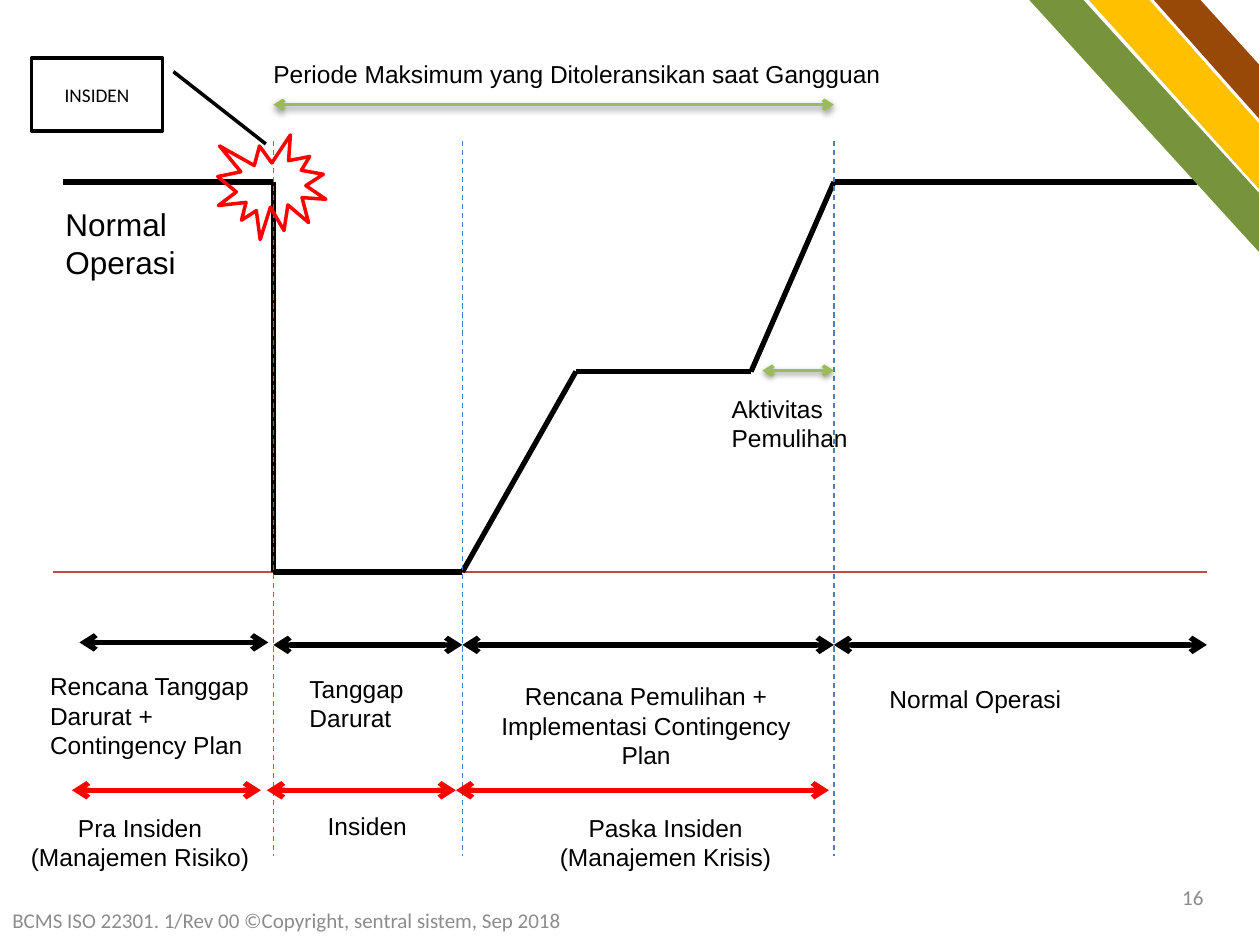
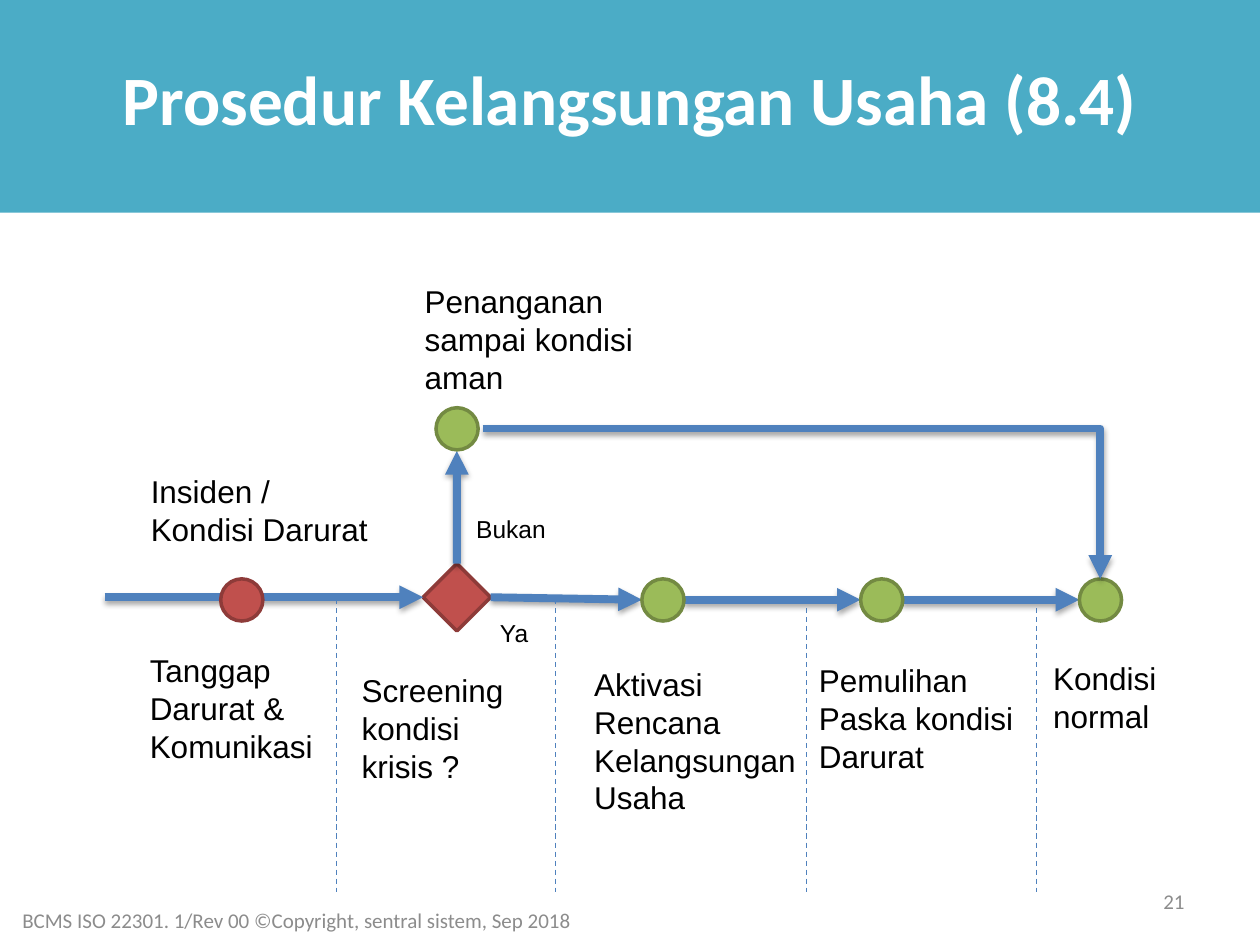
from collections import namedtuple
from pptx import Presentation
from pptx.dml.color import RGBColor
from pptx.enum.dml import MSO_LINE
from pptx.enum.shapes import MSO_CONNECTOR, MSO_SHAPE
from pptx.enum.text import MSO_ANCHOR, PP_ALIGN
from pptx.oxml import parse_xml
from pptx.oxml.ns import nsdecls
from pptx.util import Cm, Pt

BLACK, WHITE, RED, GREY = "000000", "FFFFFF", "FF0000", "8C8C8C"
BLUE, DASH_BLUE, TEAL, BASELINE = "4F81BD", "4B7EBC", "4BACC6", "BF4C48"
GREEN, GREEN_EDGE = "9BBB59", "738A42"
BRICK, BRICK_EDGE = "C0504D", "8E3B39"
FOOTER = "BCMS ISO 22301. 1/Rev 00 ©Copyright, sentral sistem, Sep 2018"
CENTER = PP_ALIGN.CENTER


class Box(namedtuple("Box", "left top width height")):
    """A region of the page in centimetres."""

    def point(self, x, y):
        """Return the page position of a point in this box."""
        return self.left + x, self.top + y

    def inner(self, x, y, width, height):
        """Return a smaller box placed in this box."""
        return Box(*self.point(x, y), width, height)

    def lengths(self):
        """Return the four sides as lengths."""
        return [Cm(value) for value in self]


def colour(code):
    """Turn a hex string into a colour."""
    return RGBColor.from_string(code)


def write(frame, text, size=14, font="Arial", ink=BLACK, bold=False,
          align=PP_ALIGN.LEFT, anchor=MSO_ANCHOR.TOP, wrap=False):
    """Fill a text frame, one paragraph for each line."""
    frame.word_wrap = wrap
    frame.vertical_anchor = anchor
    for index, line in enumerate(text.split("\n")):
        para = frame.add_paragraph() if index else frame.paragraphs[0]
        para.alignment = align
        span = para.add_run()
        span.text = line
        span.font.size, span.font.name, span.font.bold = Pt(size), font, bold
        span.font.color.rgb = colour(ink)


def add_text(page, box, text, **style):
    """Add a text box."""
    write(page.shapes.add_textbox(*box.lengths()).text_frame, text, **style)


def paint(shape, fill=None, edge=None):
    """Set fill and outline of a shape."""
    shape.shadow.inherit = False
    if fill:
        shape.fill.solid()
        shape.fill.fore_color.rgb = colour(fill)
    else:
        shape.fill.background()
    if edge:
        shape.line.color.rgb = colour(edge)
        shape.line.width = Pt(2)
    else:
        shape.line.fill.background()


def add_preset(page, kind, box, fill=None, edge=None):
    """Add a painted preset shape."""
    shape = page.shapes.add_shape(kind, *box.lengths())
    paint(shape, fill, edge)
    return shape


def add_line(page, start, end, ink=BLACK, width=3, dash=False, head=None,
             tail=None, shadow=None, kind=MSO_CONNECTOR.STRAIGHT):
    """Add a connector; shadow is its opacity and distance."""
    line = page.shapes.add_connector(kind, *map(Cm, start + end))
    line.line.color.rgb = colour(ink)
    line.line.width = Pt(width)
    if dash:
        line.line.dash_style = MSO_LINE.DASH
    outline = line.line._get_or_add_ln()
    for tag, arrow in (("headEnd", head), ("tailEnd", tail)):
        if arrow:
            outline.append(parse_xml(f'<a:{tag} {nsdecls("a")} type="{arrow}"/>'))
    effect = ""
    if shadow:
        opacity, distance = shadow
        effect = (f'<a:outerShdw blurRad="40000" dist="{distance}" dir="5400000" '
                  f'rotWithShape="0"><a:srgbClr val="{BLACK}">'
                  f'<a:alpha val="{opacity}"/></a:srgbClr></a:outerShdw>')
    line._element.spPr.append(
        parse_xml(f'<a:effectLst {nsdecls("a")}>{effect}</a:effectLst>'))
    return line


def add_span(page, start, end, ink=BLACK, **style):
    """Add a line with an open arrow at both ends."""
    add_line(page, start, end, ink, head="arrow", tail="arrow", **style)


def add_footer(page, box, number, number_box, anchor):
    """Write the copyright line and the page number."""
    style = dict(size=12, font="Calibri", ink=GREY, wrap=True)
    add_text(page, box, FOOTER, anchor=MSO_ANCHOR.MIDDLE, **style)
    add_text(page, number_box, number, align=PP_ALIGN.RIGHT, anchor=anchor, **style)


def add_corner_bands(page, box):
    """Draw the three diagonal bands in the corner."""
    right = box.width
    bands = [
        ("FFC000", [(1.2, 0), (2.42, 0), (right, 2.49), (right, 3.81)]),
        ("77933C", [(0, 0), (1.09, 0), (right, 3.89), (right, 5.08)]),
        ("984807", [(2.51, 0), (3.45, 0), (right, 1.3), (right, 2.39)]),
    ]
    for fill, corners in bands:
        points = [tuple(map(Cm, box.point(*corner))) for corner in corners]
        builder = page.shapes.build_freeform(*points[0])
        builder.add_line_segments(points[1:], close=True)
        paint(builder.convert_to_shape(), fill)


def add_recovery_curve(page, box):
    """Draw the level of operation over time, with its phase limits."""
    normal, partial, stopped = 0.83, 4.65, 8.69
    incident, recovery, restored = 4.44, 8.25, 15.74
    add_line(page, box.point(0, stopped), box.point(box.width, stopped),
             BASELINE, 0.75)
    curve = [(0.2, normal), (incident, normal), (incident, stopped),
             (recovery, stopped), (10.54, partial), (14.07, partial),
             (restored, normal), (23.06, normal)]
    for start, end in zip(curve, curve[1:]):
        add_line(page, box.point(*start), box.point(*end))
    for limit in (incident, recovery, restored):
        add_line(page, box.point(limit, 0), box.point(limit, box.height),
                 DASH_BLUE, 0.75, dash=True)
    for start, y in ((incident, -0.73), (14.3, 4.63)):
        add_span(page, box.point(start, y), box.point(restored, y), GREEN,
                 width=2, shadow=(38000, 20000))
    add_text(page, box.inner(0, 1.17, 2.77, 1.8), "Normal\nOperasi", size=18)
    add_text(page, box.inner(4.19, -1.77, 13.16, 0.86),
             "Periode Maksimum yang Ditoleransikan saat Gangguan", wrap=True)
    add_text(page, box.inner(13.43, 4.98, 3.18, 1.45), "Aktivitas\nPemulihan",
             wrap=True)
    add_preset(page, MSO_SHAPE.EXPLOSION1, box.inner(3.32, -0.12, 2.18, 2.11),
               edge=RED)


def add_incident_callout(page, box):
    """Draw the callout that points at the incident."""
    callout = add_preset(page, MSO_SHAPE.LINE_CALLOUT_1, box, WHITE, BLACK)
    callout._element.spPr.xfrm.set("flipH", "1")
    for index, value in enumerate((0.188, -0.083, 1.179, -0.788)):
        callout.adjustments[index] = value
    write(callout.text_frame, "INSIDEN", size=11, font="Calibri", align=CENTER,
          anchor=MSO_ANCHOR.MIDDLE, wrap=True)


def add_phase_row(page, box, ink, spans, labels):
    """Draw a row of phase arrows with labels below."""
    for start, end, y in spans:
        add_span(page, box.point(start, y), box.point(end, y), ink)
    for text, place, style in labels:
        add_text(page, box.inner(*place), text, **style)


def add_timeline_page(deck):
    """Build the page with the incident timeline."""
    page = deck.slides.add_slide(deck.slide_layouts[6])
    centred = dict(align=CENTER)
    add_recovery_curve(page, Box(1.07, 2.84, 23.26, 14.41))
    add_incident_callout(page, Box(0.64, 1.17, 2.64, 1.47))
    add_phase_row(
        page, Box(0.76, 12.95, 23.57, 2.7), BLACK,
        [(0.84, 4.65, 0), (4.75, 8.56, 0.05), (8.56, 16.05, 0.05),
         (16.05, 23.57, 0.05)],
        [("Rencana Tanggap\nDarurat +\nContingency Plan",
          (0, 0.46, 4.55, 2.06), {}),
         ("Tanggap\nDarurat", (5.23, 0.51, 2.41, 1.45), {}),
         ("Rencana Pemulihan + Implementasi Contingency Plan",
          (8.77, 0.66, 6.99, 2.06), dict(align=CENTER, wrap=True)),
         ("Normal Operasi", (16.92, 0.72, 5.08, 0.86), dict(wrap=True))])
    add_phase_row(
        page, Box(0.36, 15.93, 16.35, 1.78), RED,
        [(1.09, 4.9, 0), (5.02, 8.83, 0), (8.83, 16.35, 0)],
        [("Pra Insiden\n(Manajemen Risiko)", (0, 0.33, 4.93, 1.45), centred),
         ("Insiden", (5.99, 0.3, 2.11, 0.86), centred),
         ("Paska Insiden\n(Manajemen Krisis)", (10.66, 0.33, 4.8, 1.45), centred)])
    add_corner_bands(page, Box(20.75, 0, 4.63, 5.08))
    add_footer(page, Box(0, 18.03, 15.14, 1.02), "16",
               Box(18.59, 17.7, 5.92, 1.02), MSO_ANCHOR.TOP)


def add_title_band(page, box, title):
    """Draw the title on a full-width band."""
    add_preset(page, MSO_SHAPE.RECTANGLE, box, TEAL)
    add_text(page, box.inner(1.27, 0.99, 22.86, 1.98), title, size=39.6,
             font="Calibri", ink=WHITE, bold=True, align=CENTER,
             anchor=MSO_ANCHOR.MIDDLE, wrap=True)


def add_procedure_flow(page, box):
    """Draw the steps from incident to normal condition."""
    size, radius = 0.85, 0.42
    row, entry, handling = 6.53, 6.48, 3.08
    decision_x = 7.1
    steps = [11.25 + 4.41 * index for index in range(3)]
    arrow = dict(ink=BLUE, width=4.5, tail="triangle", shadow=(35000, 23000))

    def add_node(x, y, fill=GREEN, edge=GREEN_EDGE):
        """Draw a round step around a centre."""
        add_preset(page, MSO_SHAPE.OVAL,
                   box.inner(x - radius, y - radius, size, size), fill, edge)

    decision = add_preset(page, MSO_SHAPE.DIAMOND,
                          box.inner(decision_x - 0.68, entry - 0.68, 1.36, 1.36),
                          BRICK, BRICK_EDGE)
    incoming = add_line(page, box.point(0, entry),
                        box.point(decision_x - 0.68, entry), **arrow)
    incoming.end_connect(decision, 1)
    outcomes = [(3, (decision_x + 0.68, entry), (steps[0] - radius, row)),
                (0, (decision_x, entry - 0.68), (decision_x, handling + 0.45))]
    for side, start, end in outcomes:
        outcome = add_line(page, box.point(*start), box.point(*end), **arrow)
        outcome.begin_connect(decision, side)
    for start, end in zip(steps, steps[1:]):
        add_line(page, box.point(start + radius, row),
                 box.point(end - radius, row), **arrow)
    add_node(2.76, row, BRICK, BRICK_EDGE)
    add_node(decision_x, handling)
    for step in steps:
        add_node(step, row)
    for limit in (4.67, 9.09, 14.15, 18.79):
        add_line(page, box.point(limit, 6.51), box.point(limit, box.height),
                 BLUE, 0.75, dash=True)
    bypass = add_line(page, box.point(7.62, handling),
                      box.point(steps[-1], row - radius),
                      kind=MSO_CONNECTOR.ELBOW, **arrow)
    bypass._element.spPr.prstGeom.set("prst", "bentConnector2")

    labels = [
        ("Insiden /\nKondisi Darurat", (0.68, 3.84, 4.93, 1.8), 18),
        ("Tanggap\nDarurat &\nKomunikasi", (0.66, 7.44, 3.84, 2.57), 18),
        ("Screening kondisi krisis ?", (4.93, 7.85, 3.96, 2.57), 18),
        ("Aktivasi\nRencana\nKelangsungan\nUsaha", (9.62, 7.72, 4.6, 3.33), 18),
        ("Pemulihan\nPaska kondisi\nDarurat", (14.15, 7.65, 4.47, 2.57), 18),
        ("Kondisi\nnormal", (18.87, 7.6, 2.62, 1.8), 18),
        ("Penanganan\nsampai kondisi\naman", (6.2, 0, 4.93, 2.57), 18),
        ("Ya", (7.72, 6.78, 1.09, 0.86), 14),
        ("Bukan", (7.24, 4.68, 1.93, 0.86), 14),
    ]
    for text, place, points in labels:
        add_text(page, box.inner(*place), text, size=points,
                 wrap=text.startswith("Screening"))


def add_procedure_page(deck):
    """Build the page with the continuity procedure."""
    page = deck.slides.add_slide(deck.slide_layouts[6])
    add_title_band(page, Box(0, 0, 25.4, 4.29), "Prosedur Kelangsungan Usaha (8.4)")
    add_procedure_flow(page, Box(2.11, 5.56, 21.49, 12.42))
    add_footer(page, Box(0.2, 18.03, 16.31, 1.02), "21",
               Box(18.21, 17.65, 5.92, 1.02), MSO_ANCHOR.MIDDLE)


def main():
    """Build and save the deck."""
    deck = Presentation()
    deck.slide_width, deck.slide_height = Cm(25.4), Cm(19.05)
    add_timeline_page(deck)
    add_procedure_page(deck)
    deck.save("out.pptx")


if __name__ == "__main__":
    main()
